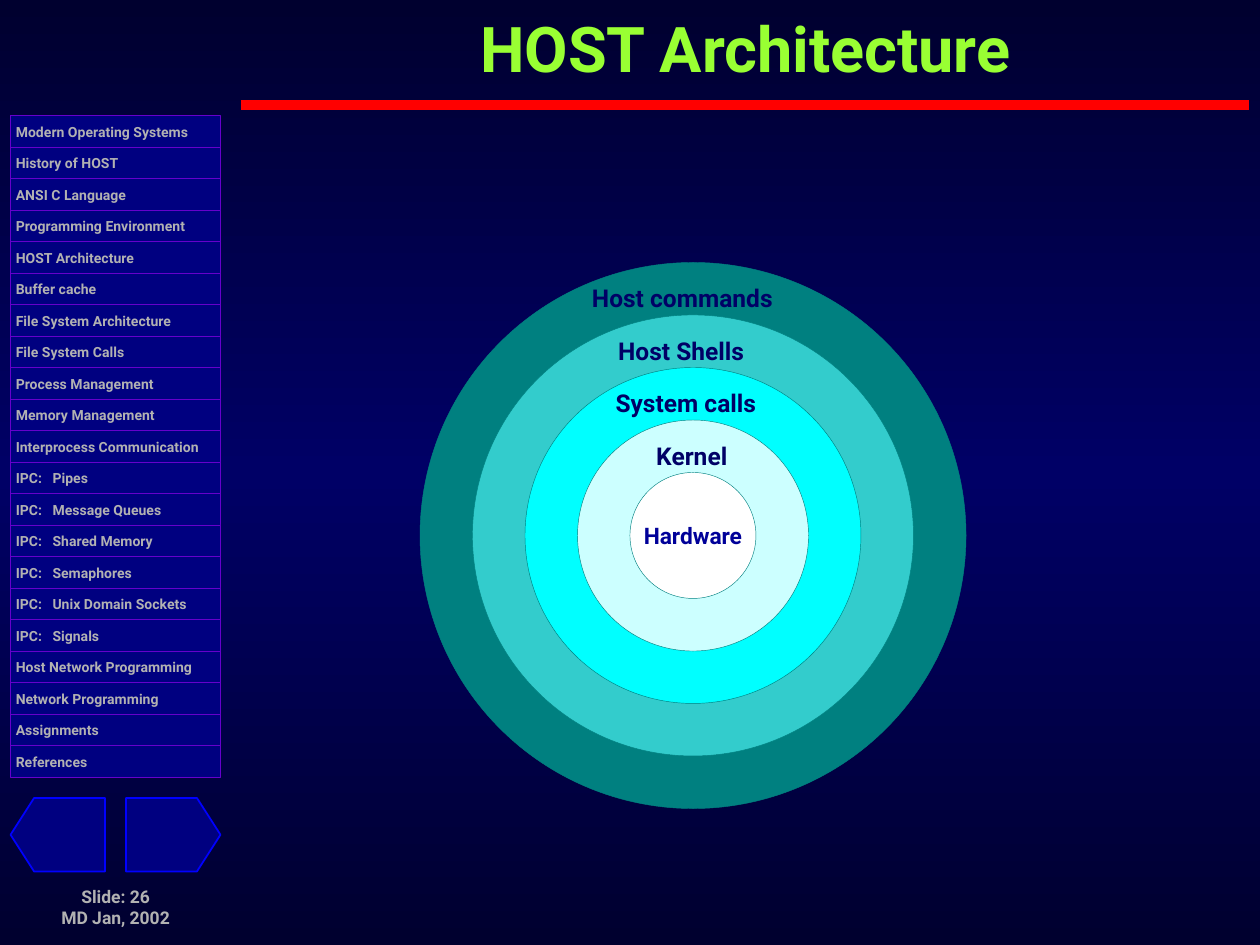
"""Build the HOST Architecture slide with its topic menu and layer rings."""
from copy import deepcopy
from typing import NamedTuple

from pptx import Presentation
from pptx.dml.color import RGBColor
from pptx.enum.shapes import MSO_CONNECTOR, MSO_SHAPE
from pptx.enum.text import MSO_ANCHOR, MSO_AUTO_SIZE, PP_ALIGN
from pptx.oxml.ns import qn
from pptx.oxml.xmlchemy import OxmlElement
from pptx.util import Pt

EMU_PER_PX = 9525
FONT = "Roboto"
NIGHT = RGBColor(0x00, 0x00, 0x2F)
DEEP_BLUE = RGBColor(0x00, 0x00, 0x66)
NAVY = RGBColor(0x00, 0x00, 0x80)
INK_BLUE = RGBColor(0x00, 0x00, 0x99)
BLUE = RGBColor(0x00, 0x00, 0xFF)
PURPLE = RGBColor(0x66, 0x00, 0xCC)
GRAY = RGBColor(0xB2, 0xB2, 0xB2)
RED = RGBColor(0xFF, 0x00, 0x00)
LIME = RGBColor(0x99, 0xFF, 0x33)
TEAL = RGBColor(0x00, 0x80, 0x80)
TURQUOISE = RGBColor(0x33, 0xCC, 0xCC)
CYAN = RGBColor(0x00, 0xFF, 0xFF)
PALE_CYAN = RGBColor(0xCC, 0xFF, 0xFF)
WHITE = RGBColor(0xFF, 0xFF, 0xFF)

MENU_LEFT, MENU_TOP, MENU_WIDTH, MENU_ROW = 8, 88, 160, 24
IPC_TAB = 28
RING_CENTER_X, RING_CENTER_Y = 528, 408
CORE_DIAMETER, RING_WIDTH = 96, 40
TOPICS = (
    "Modern Operating Systems", "History of HOST", "ANSI C Language",
    "Programming Environment", "HOST Architecture", "Buffer cache",
    "File System Architecture", "File System Calls", "Process Management",
    "Memory Management", "Interprocess Communication", "IPC:\tPipes",
    "IPC:\tMessage Queues", "IPC:\tShared Memory", "IPC:\tSemaphores",
    "IPC:\tUnix Domain Sockets", "IPC:\tSignals", "Host Network Programming",
    "Network Programming", "Assignments", "References",
)


class Box(NamedTuple):
    """A rectangle in px."""
    left: int
    top: int
    width: int
    height: int


class Ring(NamedTuple):
    """A layer around the hardware core."""
    label: str
    color: RGBColor
    label_left: int
    label_width: int


RINGS = (
    Ring("Host commands", TEAL, 447, 156),
    Ring("Host Shells", TURQUOISE, 467, 108),
    Ring("System calls", CYAN, 465, 120),
    Ring("Kernel", PALE_CYAN, 496, 67),
)


def px(length: int) -> int:
    """Convert px to EMU."""
    return length * EMU_PER_PX


def emu(box: Box) -> list[int]:
    """Convert a box to EMU."""
    return [px(length) for length in box]


def write_text(shape, text: str, *, size: int, color: RGBColor,
               align=PP_ALIGN.LEFT, anchor=MSO_ANCHOR.TOP,
               insets=(4, 0, 2, 0), wrap: bool = True) -> None:
    """Write bold text, one paragraph per line, into a shape."""
    frame = shape.text_frame
    frame.word_wrap = wrap
    frame.auto_size = MSO_AUTO_SIZE.NONE
    frame.vertical_anchor = anchor
    (frame.margin_left, frame.margin_top,
     frame.margin_right, frame.margin_bottom) = map(px, insets)
    for index, line in enumerate(text.split("\n")):
        paragraph = frame.add_paragraph() if index else frame.paragraphs[0]
        paragraph.alignment = align
        if "\t" in line:
            tab_list = OxmlElement("a:tabLst")
            tab = OxmlElement("a:tab")
            tab.set("pos", str(px(IPC_TAB)))
            tab.set("algn", "l")
            tab_list.append(tab)
            paragraph._p.get_or_add_pPr().append(tab_list)
        run = paragraph.add_run()
        run.text = line
        run.font.name = FONT
        run.font.size = Pt(size)
        run.font.bold = True
        run.font.color.rgb = color


def draw_shape(slide, kind, box: Box, fill: RGBColor, line: RGBColor,
               line_width: float = 0.25):
    """Draw a filled and outlined preset shape."""
    shape = slide.shapes.add_shape(kind, *emu(box))
    shape.shadow.inherit = False
    shape.fill.solid()
    shape.fill.fore_color.rgb = fill
    shape.line.color.rgb = line
    shape.line.width = Pt(line_width)
    return shape


def draw_circle(slide, diameter: int, fill: RGBColor):
    """Draw a circle around the common center."""
    radius = diameter // 2
    box = Box(RING_CENTER_X - radius, RING_CENTER_Y - radius, diameter, diameter)
    return draw_shape(slide, MSO_SHAPE.OVAL, box, fill, TEAL)


def paint_background(slide) -> None:
    """Fill the background with a vertical three-stop gradient."""
    fill = slide.background.fill
    fill.gradient()
    fill.gradient_angle = 270
    for stop, color, position in zip(fill.gradient_stops, (NIGHT, DEEP_BLUE), (0, 0.5)):
        stop.color.rgb = color
        stop.position = position
    stop_list = slide.element.find(".//" + qn("a:gsLst"))
    stop_list.append(deepcopy(stop_list[0]))
    fill.gradient_stops[2].position = 1


def draw_header(slide) -> None:
    """Place the title and the red rule below it."""
    title = slide.shapes.title
    title.left, title.top, title.width, title.height = emu(Box(184, 8, 768, 56))
    write_text(title, "HOST Architecture", size=36, color=LIME, insets=(4, 4, 4, 4),
               align=PP_ALIGN.CENTER, anchor=MSO_ANCHOR.MIDDLE)
    rule = slide.shapes.add_connector(
        MSO_CONNECTOR.STRAIGHT, px(184), px(80), px(952), px(80))
    rule.line.color.rgb = RED
    rule.line.width = Pt(6)
    rule._element.spPr.append(OxmlElement("a:effectLst"))


def draw_menu(slide) -> None:
    """Draw the topic buttons, the two arrows and the footer."""
    for row, topic in enumerate(TOPICS):
        box = Box(MENU_LEFT, MENU_TOP + row * MENU_ROW, MENU_WIDTH, MENU_ROW)
        button = draw_shape(slide, MSO_SHAPE.RECTANGLE, box, NAVY, PURPLE)
        write_text(button, topic, size=8, color=GRAY, insets=(4, 6, 2, 0))
    for left, rotation in ((96, 0), (MENU_LEFT, 180)):
        arrow = draw_shape(slide, MSO_SHAPE.PENTAGON, Box(left, 608, 72, 56), NAVY, BLUE, 1)
        arrow.adjustments[0] = 0.32
        arrow.rotation = rotation
    footer = slide.shapes.add_textbox(*emu(Box(MENU_LEFT, 672, MENU_WIDTH, 40)))
    write_text(footer, "Slide: 26\nMD Jan, 2002", size=10, color=GRAY,
               align=PP_ALIGN.CENTER, insets=(2, 3, 2, 0))


def draw_layers(slide) -> None:
    """Draw the rings from the outside in, then the core and the labels."""
    outer = CORE_DIAMETER + 2 * RING_WIDTH * len(RINGS)
    for index, ring in enumerate(RINGS):
        draw_circle(slide, outer - 2 * RING_WIDTH * index, ring.color)
    core = draw_circle(slide, CORE_DIAMETER, WHITE)
    write_text(core, "Hardware", size=13, color=INK_BLUE, align=PP_ALIGN.CENTER,
               anchor=MSO_ANCHOR.MIDDLE, insets=(8, 6, 8, 6), wrap=False)
    first_label_top = RING_CENTER_Y - outer // 2 + 16
    for index, ring in enumerate(RINGS):
        box = Box(ring.label_left, first_label_top + index * RING_WIDTH, ring.label_width, 22)
        label = slide.shapes.add_textbox(*emu(box))
        write_text(label, ring.label, size=14, color=DEEP_BLUE)


def main() -> None:
    """Build and save the presentation."""
    presentation = Presentation()
    presentation.slide_width, presentation.slide_height = px(960), px(720)
    slide = presentation.slides.add_slide(presentation.slide_layouts[5])
    paint_background(slide)
    draw_header(slide)
    draw_menu(slide)
    draw_layers(slide)
    presentation.save("out.pptx")


if __name__ == "__main__":
    main()
